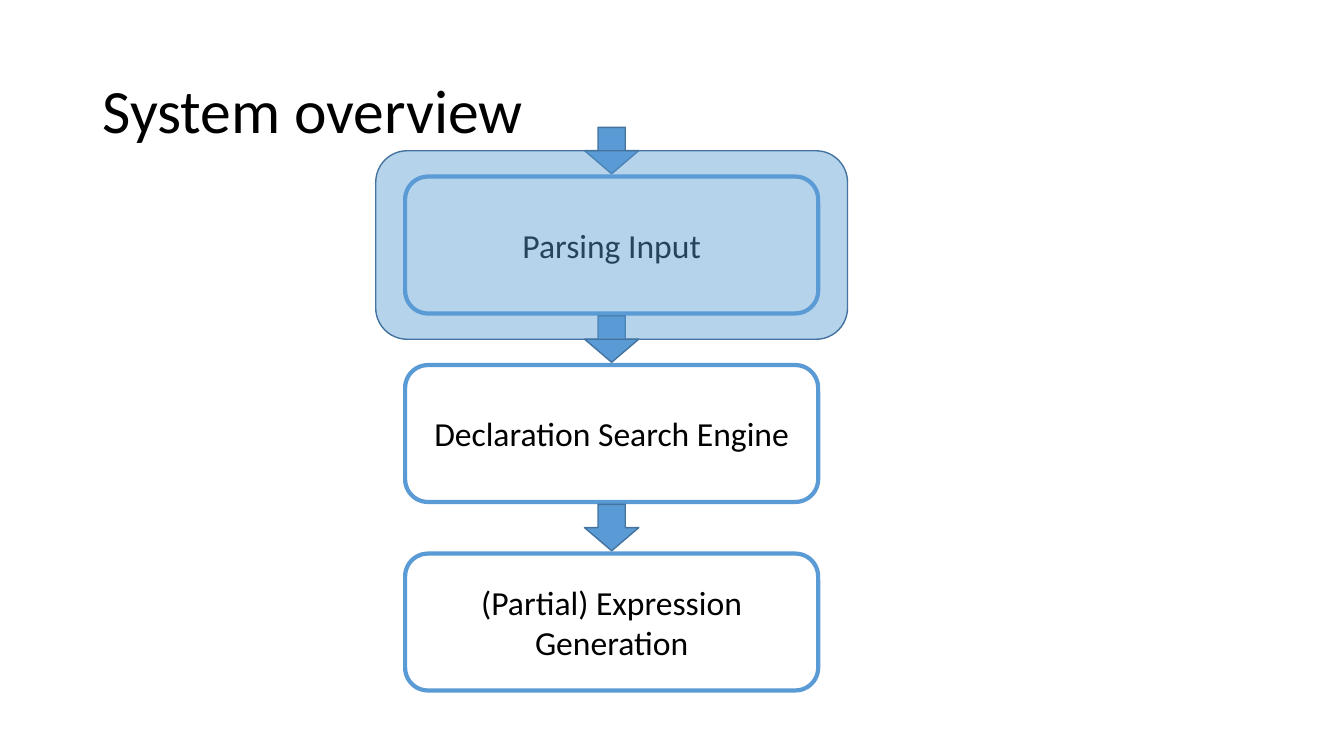
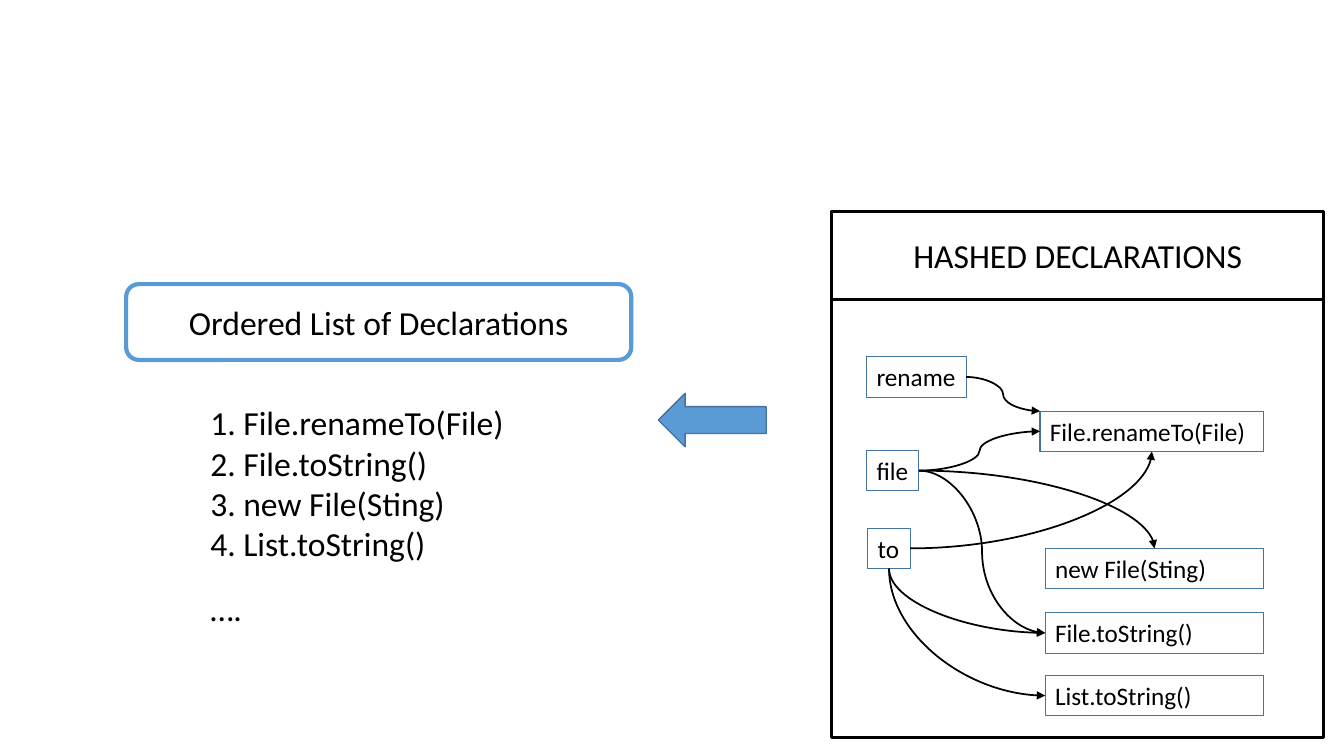
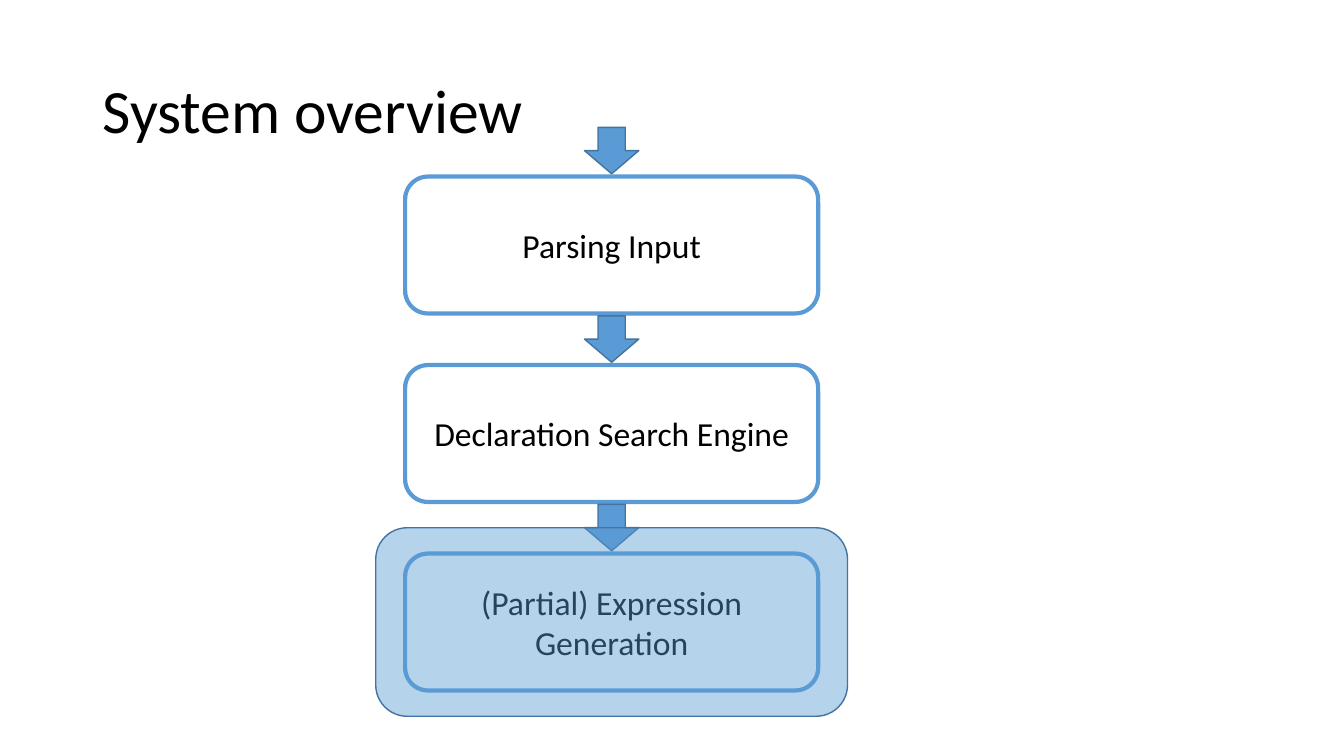
from dataclasses import dataclass
from lxml import etree
from pptx import Presentation
from pptx import util as u
from pptx.dml import color
from pptx.enum import shapes, text
from pptx.oxml import ns


@dataclass(frozen=True)
class Theme:
    font: str = "Calibri"
    ink: str = "000000"
    paper: str = "FFFFFF"
    accent: str = "5B9BD5"
    edge: str = "43739E"
    title: float = 44
    body: float = 24
    label: float = 18
    veil: int = 44


@dataclass(frozen=True)
class Box:
    left: float
    top: float
    width: float
    height: float

    def place(self):
        return [u.Cm(n) for n in (self.left, self.top, self.width, self.height)]

    def inner(self, dx, dy, width, height):
        return Box(self.left + dx, self.top + dy, width, height)


THEME = Theme()
KIND = shapes.MSO_SHAPE
TOP, LEFT, BOTTOM, RIGHT = range(4)
STAGES = ["Parsing Input", "Declaration Search Engine", "(Partial) Expression Generation"]
STAGE_PITCH = 4.75
CENTRED = {"alignment": text.PP_ALIGN.CENTER}
LEFTWARD = {"alignment": text.PP_ALIGN.LEFT}


def rgb(value):
    return color.RGBColor.from_string(value)


def apply(target, values):
    for name, value in values.items():
        setattr(target, name, value)


def write(shape, lines, size, layout, frame_values):
    frame = shape.text_frame
    apply(frame, {"word_wrap": True, "vertical_anchor": text.MSO_ANCHOR.MIDDLE} | frame_values)
    for index, line in enumerate(lines):
        para = frame.add_paragraph() if index else frame.paragraphs[0]
        apply(para, layout)
        span = para.add_run()
        span.text = line
        apply(span.font, {"name": THEME.font, "size": u.Pt(size)})
        span.font.color.rgb = rgb(THEME.ink)


def add_block(page, kind, box, fill=None, line=None, weight=1):
    block = page.shapes.add_shape(kind, *box.place())
    block.shadow.inherit = False
    if fill:
        block.fill.solid()
        block.fill.fore_color.rgb = rgb(fill)
    else:
        block.fill.background()
    if line:
        block.line.color.rgb = rgb(line)
        block.line.width = u.Pt(weight)
    else:
        block.line.fill.background()
    return block


def add_stage(page, box, caption):
    stage = add_block(page, KIND.ROUNDED_RECTANGLE, box, THEME.paper, THEME.accent, 3)
    write(stage, [caption], THEME.body, CENTRED, {})


def add_arrow(page, kind, box):
    return add_block(page, kind, box, THEME.accent, THEME.edge)


def add_label(page, box, caption, wrap, fill=None):
    label = add_block(page, KIND.RECTANGLE, box, fill, THEME.edge, 0.75)
    write(label, [caption], THEME.label, LEFTWARD, {
        "word_wrap": wrap,
        "vertical_anchor": text.MSO_ANCHOR.TOP,
        "auto_size": text.MSO_AUTO_SIZE.SHAPE_TO_FIT_TEXT,
    })
    return label


def add_curve(page, start, start_site, end, end_site, preset, arrow):
    curve = page.shapes.add_connector(shapes.MSO_CONNECTOR.CURVE, 0, 0, 0, 0)
    curve.begin_connect(start, start_site)
    if end_site is None:
        curve.end_x, curve.end_y = end.left, end.top
    else:
        curve.end_connect(end, end_site)
    curve.line.color.rgb = rgb(THEME.ink)
    curve.line.width = u.Pt(1.25)
    properties = curve.element.spPr
    properties.find(ns.qn("a:prstGeom")).set("prst", preset)
    etree.SubElement(properties.find(ns.qn("a:ln")), ns.qn(arrow)).set("type", "triangle")
    etree.SubElement(properties, ns.qn("a:effectLst"))


def add_title(page, box, caption):
    title = page.shapes.title
    apply(title, dict(zip(("left", "top", "width", "height"), box.place())))
    write(title, [caption], THEME.title, LEFTWARD | {"line_spacing": 0.9}, {})


def add_highlight(page, stage):
    box = stage.inner(-0.74, -0.65, stage.width + 1.48, STAGE_PITCH)
    veil = add_block(page, KIND.ROUNDED_RECTANGLE, box, THEME.accent, THEME.edge)
    tint = veil.element.spPr.find(ns.qn("a:solidFill"))[0]
    etree.SubElement(tint, ns.qn("a:alpha")).set("val", str(THEME.veil * 1000))


def add_pipeline(page, box, active):
    stages = [box.inner(0, i * STAGE_PITCH, box.width, 3.45) for i in range(len(STAGES))]
    for stage, caption in zip(stages, STAGES):
        add_stage(page, stage, caption)
    for stage in stages:
        add_arrow(page, KIND.DOWN_ARROW, stage.inner((box.width - 1.37) / 2, -1.24, 1.37, 1.17))
    add_highlight(page, stages[active])


def add_ranking(page, box):
    add_stage(page, box.inner(0, 0, box.width, 1.91), "Ordered List of Declarations")
    ranking = add_block(page, KIND.RECTANGLE, box.inner(1.87, 2.85, 8.71, 4.37), THEME.paper)
    rows = ["File.renameTo(File)", "File.toString()", "new File(Sting)", "List.toString()"]
    frame = {
        "vertical_anchor": text.MSO_ANCHOR.TOP,
        "auto_size": text.MSO_AUTO_SIZE.SHAPE_TO_FIT_TEXT,
    }
    numbered = [f"{number}. {row}" for number, row in enumerate(rows, 1)]
    write(ranking, numbered, THEME.body, LEFTWARD, frame)
    more = page.shapes.add_textbox(*box.inner(1.87, 7.52, 1.32, 1.27).place())
    write(more, ["\u2026."], THEME.body, LEFTWARD, frame | {"word_wrap": False})


def add_hash_panel(page, box):
    add_block(page, KIND.RECTANGLE, box, None, THEME.ink, 2.25)
    header = add_block(page, KIND.RECTANGLE, box.inner(0, 0, box.width, 2.21), None, THEME.ink, 2.25)
    write(header, ["HASHED DECLARATIONS"], THEME.body, CENTRED, {})

    def label(caption, dx, dy, width, wrap=False, fill=None):
        return add_label(page, box.inner(dx, dy, width, 1.02), caption, wrap, fill)

    rename_key = label("rename", 0.88, 3.66, 2.51)
    file_key = label("file", 0.88, 6.02, 1.32)
    to_key = label("to", 0.91, 7.98, 1.07)
    rename_to = label("File.renameTo(File)", 5.25, 5.03, 5.64, fill=THEME.paper)
    new_file, file_string, list_string = [
        label(caption, 5.38, dy, 5.51, wrap=True)
        for caption, dy in (
            ("new File(Sting)", 8.49),
            ("File.toString()", 10.11),
            ("List.toString()", 11.69),
        )
    ]
    wave, bow = "curvedConnector3", "curvedConnector2"
    head, tail = "a:headEnd", "a:tailEnd"
    for link in (
        (rename_key, RIGHT, rename_to, None, wave, tail),
        (file_key, RIGHT, rename_to, LEFT, wave, tail),
        (to_key, RIGHT, rename_to, BOTTOM, bow, tail),
        (file_key, RIGHT, new_file, TOP, bow, tail),
        (file_key, RIGHT, file_string, LEFT, wave, tail),
        (file_string, LEFT, to_key, BOTTOM, bow, head),
        (list_string, LEFT, to_key, BOTTOM, bow, head),
    ):
        add_curve(page, *link)


def overview_slide(deck, active):
    page = deck.slides.add_slide(deck.slide_layouts[5])
    add_title(page, Box(2.33, 1.01, 29.21, 3.68), "System overview")
    add_pipeline(page, Box(10.21, 4.45, 10.41, 12.95), active)


def search_slide(deck):
    page = deck.slides.add_slide(deck.slide_layouts[6])
    add_ranking(page, Box(3.18, 7.16, 12.73, 8.79))
    add_hash_panel(page, Box(20.96, 5.33, 12.4, 13.26))
    add_arrow(page, KIND.RIGHT_ARROW, Box(16.59, 9.91, 2.72, 1.35)).rotation = 180


deck = Presentation()
apply(deck, {"slide_width": u.Cm(33.87), "slide_height": u.Cm(19.05)})
overview_slide(deck, 0)
search_slide(deck)
overview_slide(deck, 2)
deck.save("out.pptx")
